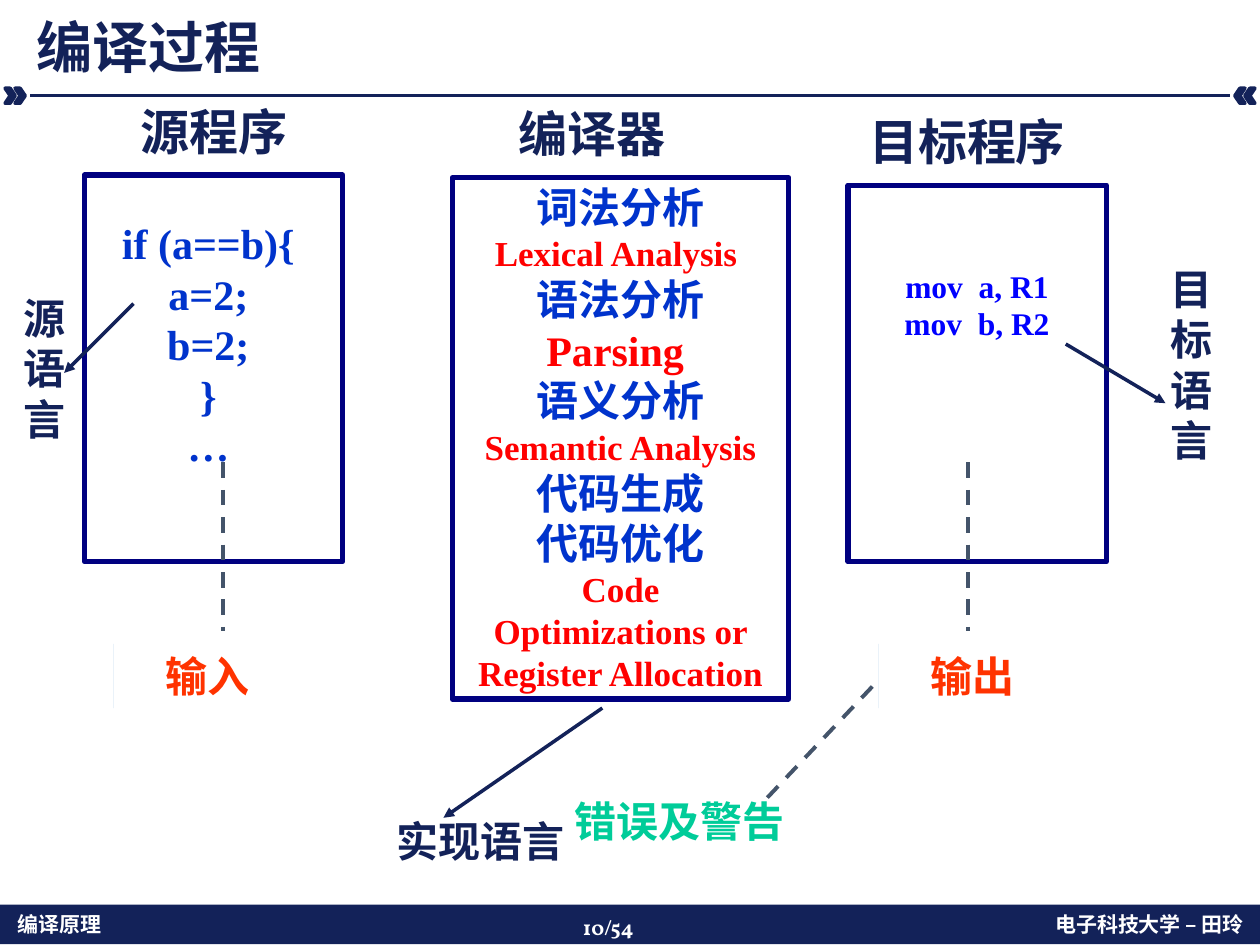
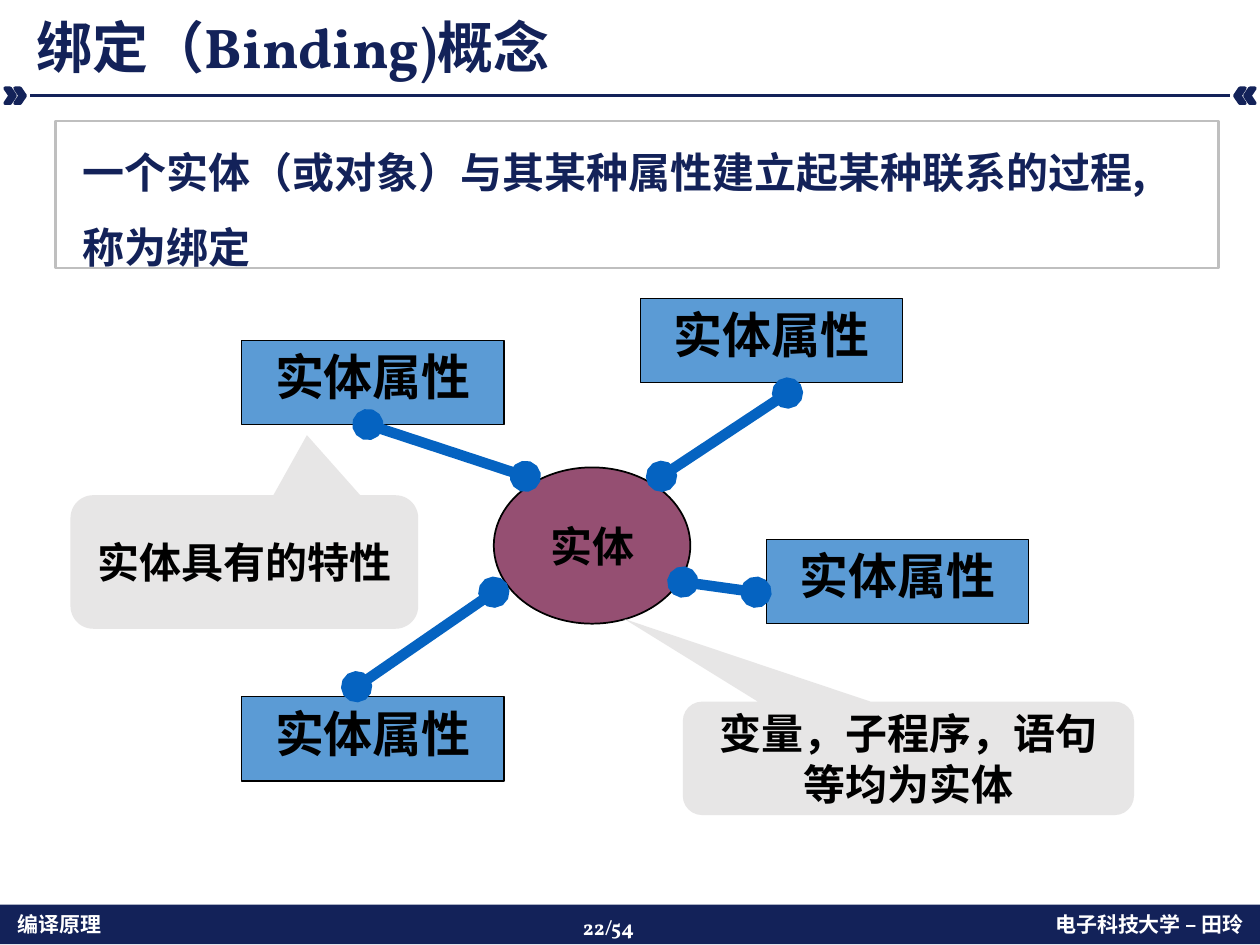
from lxml import etree
from pptx import Presentation
from pptx import util as u
from pptx.dml.color import RGBColor
from pptx.enum import dml, shapes, text
from pptx.oxml.ns import qn

NAVY, WHITE, BLACK = "132259", "FFFFFF", "000000"
BLUE, RED, ORANGE, GREEN = "0033CC", "FF0000", "FF3300", "00CC99"
BOX_LINE, ACCENT, SLATE, LINK = "000080", "5B9BD5", "44546A", "0563C1"
PLUM, PALE, GREY = "954F72", "E7E6E6", "BFBFBF"
CJK, SERIF, TITLE = "Noto Sans CJK SC", "Times New Roman", "Vollkorn"
KIND = shapes.MSO_SHAPE
TOP, MIDDLE, BOTTOM = (text.MSO_ANCHOR.TOP, text.MSO_ANCHOR.MIDDLE,
                       text.MSO_ANCHOR.BOTTOM)
LEFT, CENTER, RIGHT = (text.PP_ALIGN.LEFT, text.PP_ALIGN.CENTER,
                       text.PP_ALIGN.RIGHT)
WIDTH, HEIGHT = 720, 540


def rgb(value):
    return RGBColor.from_string(value)


def points(*values):
    return [u.Pt(v) for v in values]


def add_runs(p, content):
    runs = []
    for i, line in enumerate(content.split("\n")):
        if i:
            p.add_line_break()
        if line:
            r = p.add_run()
            r.text = line
            runs.append(r)
    return runs


class Deck:
    def __init__(self):
        self.prs = Presentation()
        self.prs.slide_width, self.prs.slide_height = points(WIDTH, HEIGHT)
        self.s = None

    def slide(self, title, page):
        self.s = self.prs.slides.add_slide(self.prs.slide_layouts[5])
        self.shape((0, 517, WIDTH, 22.5), fill=NAVY)
        self.label((3, 517.5, 211.5, 21.5), "编译原理", 12, WHITE, CJK, LEFT, TOP)
        for x in (2.9, 8.6):
            for left, turn in ((x, 0), (WIDTH - x - 5.8, 180)):
                sp = self.shape((left, 50.4, 5.8, 8.6), KIND.CHEVRON, NAVY, NAVY, 2)
                sp.rotation = turn
        self.line((17.3, 54.7), (WIDTH - 17.3, 54.7))
        self.label((502.5, 517.5, 215.5, 21.5), "电子科技大学 – 田玲", 12, WHITE,
                   CJK, RIGHT, TOP)
        self.label((326, 519, 67.5, 21.5), page, 12, WHITE, TITLE, LEFT, TOP)
        sp = self.s.shapes.title
        sp.left, sp.top, sp.width, sp.height = points(13.7, 3.6, 692, 46)
        self.set_text(sp, [title], 32, NAVY, TITLE, LEFT, BOTTOM, spacing=0.9)

    def set_text(self, sp, paragraphs, size, color, font=SERIF, align=CENTER,
                 anchor=MIDDLE, spacing=None, before=None, wrap=True):
        tf = sp.text_frame
        tf.word_wrap, tf.vertical_anchor = wrap, anchor
        tf.auto_size = text.MSO_AUTO_SIZE.NONE
        for i, content in enumerate(paragraphs):
            p = tf.add_paragraph() if i else tf.paragraphs[0]
            p.alignment = align
            if spacing:
                p.line_spacing = spacing
            if before:
                p.space_before = u.Pt(before)
            p.font.name, p.font.bold = font, True
            p.font.size, p.font.color.rgb = u.Pt(size), rgb(color)
            if isinstance(content, str):
                add_runs(p, content)
            else:
                for part, part_size, part_color in content:
                    for r in add_runs(p, part):
                        r.font.size = u.Pt(part_size)
                        r.font.color.rgb = rgb(part_color)
            for latin in list(p._p.iter(qn("a:latin"))):
                latin.addnext(etree.Element(qn("a:ea"), typeface=CJK))

    def label(self, box, content, size=24, color=NAVY, font=SERIF, align=CENTER,
              anchor=MIDDLE, spacing=None):
        sp = self.s.shapes.add_textbox(*points(*box))
        paragraphs = content if isinstance(content, list) else [content]
        self.set_text(sp, paragraphs, size, color, font, align, anchor, spacing)

    def shape(self, box, kind=KIND.RECTANGLE, fill=None, line=None, weight=1):
        sp = self.s.shapes.add_shape(kind, *points(*box))
        sp.shadow.inherit = False
        if fill:
            sp.fill.solid()
            sp.fill.fore_color.rgb = rgb(fill)
        else:
            sp.fill.background()
        if line:
            sp.line.color.rgb, sp.line.width = rgb(line), u.Pt(weight)
        else:
            sp.line.fill.background()
        return sp

    def line(self, start, end, color=NAVY, weight=2, dashed=False, head=None,
             tail=None):
        cx = self.s.shapes.add_connector(shapes.MSO_CONNECTOR.STRAIGHT,
                                         *points(*start, *end))
        cx.line.color.rgb, cx.line.width = rgb(color), u.Pt(weight)
        if dashed:
            cx.line.dash_style = dml.MSO_LINE.DASH
        ln = cx._element.spPr.find(qn("a:ln"))
        for tag, ending in (("a:headEnd", head), ("a:tailEnd", tail)):
            if ending:
                etree.SubElement(ln, qn(tag), type=ending)
        etree.SubElement(cx._element.spPr, qn("a:effectLst"))

    def callout(self, box, tip, content):
        sp = self.shape(box, KIND.ROUNDED_RECTANGULAR_CALLOUT, PALE)
        for i, value in enumerate((*tip, 0.17)):
            sp.adjustments[i] = value
        self.set_text(sp, [content], 24, BLACK, CJK)


def compile_slide(d):
    d.slide("编译过程", "10/54")
    for box in ((48.2, 100, 147.6, 221), (258.5, 101.5, 192.2, 298),
                (484.6, 105.8, 147.6, 215.3)):
        d.shape(box, fill=WHITE, line=BOX_LINE, weight=3)
    for x, y, w, heading in ((59.8, 54.7, 124.6, "源程序"),
                             (275.8, 56.2, 124.6, "编译器"),
                             (484.6, 60.5, 136, "目标程序")):
        d.label((x, y, w, 39.6), heading, 28)
    d.label((48.2, 105.8, 141.8, 181.4), "if (a==b){\na=2;\nb=2;\n}\n…", color=BLUE)
    phases = ["词法分析",
              [("Lexical Analysis \n", 20, RED), ("语法分析", 24, BLUE)],
              [("Parsing \n", 24, RED), ("语义分析", 24, BLUE)],
              [("Semantic Analysis\n", 20, RED), ("代码生成\n代码优化", 24, BLUE)],
              [("Code Optimizations or Register Allocation", 20, RED)]]
    d.label((264.2, 118, 180.7, 264.2), phases, color=BLUE)
    d.label((490.3, 145.4, 136, 57), "mov  a, R1\nmov  b, R2", 18, "0000FF")
    d.label((0, 162, 51, 96.5), "源语言")
    d.label((218.2, 460.8, 113, 39.6), "实现语言")
    d.label((655.2, 157, 51, 102.2), "目标语言")
    for start, end in (((76.3, 173.5), (36.7, 213.1)),
                       ((344.2, 404.6), (253.4, 467.3)),
                       ((609, 196.6), (666, 230.4))):
        d.line(start, end, tail="triangle")
    for x, content in ((64.8, "输入"), (501.8, "输出")):
        d.shape((x, 368, 0.1, 36.7), fill=ACCENT)
        d.label((x + 5.8, 366.5, 96.5, 39.6), content, color=ORANGE)
    d.label((314.6, 449.3, 147.6, 39.6), "错误及警告", color=GREEN)
    for start, end in (((127.4, 264.2), (127.4, 360.7)),
                       ((553, 264.2), (553, 360.7)),
                       ((438.5, 455.8), (501.8, 388.8))):
        d.line(start, end, SLATE, 2.25, dashed=True)


def binding_slide(d):
    d.slide("绑定（Binding)概念", "22/54")
    entity = d.shape((282.2, 267.1, 112.3, 89.3), KIND.OVAL, PLUM, BLACK)
    d.set_text(entity, ["实体"], 24, BLACK, CJK, wrap=False)
    for x, y in ((365.8, 170.6), (138.2, 194.4), (138.2, 398.2), (437.8, 308.2)):
        sp = d.shape((x, y, 149.8, 48.2), fill=ACCENT, line=BLACK, weight=0.75)
        d.set_text(sp, ["实体属性"], 28, BLACK, CJK, anchor=TOP, before=5.6)
    for start, end in (((378, 272.2), (450, 224.6)),
                       ((210.2, 242.6), (300.2, 272.2)),
                       ((203.8, 392.4), (282.2, 338.4)),
                       ((390.2, 332.6), (432, 338.4))):
        d.line(start, end, LINK, 6, head="oval", tail="oval")
    d.callout((390.2, 401, 257.8, 64.8), (-0.63, -1.23), "变量，子程序，语句等均为实体")
    d.callout((40.3, 283, 198.7, 76.3), (0.18, -0.95), "实体具有的特性")
    d.label((40.3, 65.5, 643, 89.3),
            "一个实体（或对象）与其某种属性建立起某种联系的过程,称为绑定",
            font=CJK, align=LEFT, anchor=TOP, spacing=1.5)
    d.shape((31.7, 69.1, 664.6, 84.2), line=GREY, weight=1.5)


def main():
    d = Deck()
    compile_slide(d)
    binding_slide(d)
    d.prs.save("out.pptx")


if __name__ == "__main__":
    main()
